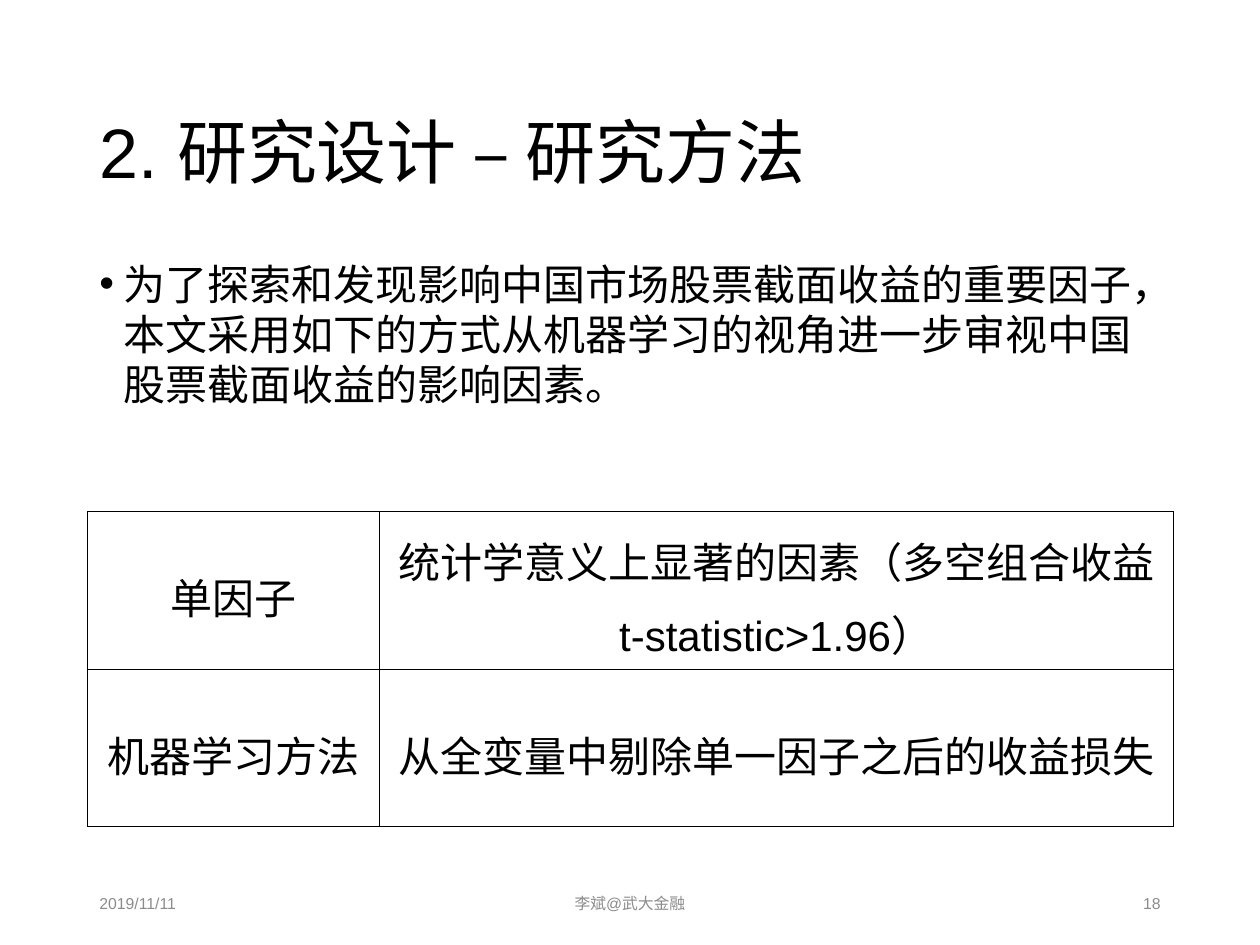
from dataclasses import dataclass

from lxml.etree import SubElement
from pptx import Presentation
from pptx.dml.color import RGBColor
from pptx.enum.text import MSO_ANCHOR, PP_ALIGN
from pptx.oxml.ns import qn
from pptx.util import Inches, Pt


@dataclass(frozen=True)
class Theme:
    font: str = "Arial"
    ink: str = "000000"
    muted: str = "8C8C8C"
    title_size: int = 40
    body_size: int = 24
    footer_size: int = 9
    border_width: float = 0.5


class SlideBuilder:
    def __init__(self, slide, theme):
        self.slide = slide
        self.theme = theme

    def fill_paragraph(self, paragraph, text, size, color,
                       align=PP_ALIGN.LEFT, spacing=1.2):
        paragraph.text = text
        for name, value in {"alignment": align, "line_spacing": spacing}.items():
            setattr(paragraph, name, value)
        font = paragraph.runs[0].font
        for name, value in {"name": self.theme.font, "size": Pt(size)}.items():
            setattr(font, name, value)
        font.color.rgb = RGBColor.from_string(color)

    def text(self, box, text, size, color, anchor=MSO_ANCHOR.MIDDLE, **paragraph_format):
        frame = self.slide.shapes.add_textbox(*map(Inches, box)).text_frame
        for name, value in {"word_wrap": True, "vertical_anchor": anchor}.items():
            setattr(frame, name, value)
        paragraph = frame.paragraphs[0]
        self.fill_paragraph(paragraph, text, size, color, **paragraph_format)
        return paragraph

    def bullet(self, box, text):
        paragraph = self.text(box, text, self.theme.body_size, self.theme.ink,
                              anchor=MSO_ANCHOR.TOP, spacing=1.0)
        properties = paragraph._p.get_or_add_pPr()
        indent = Inches(0.19)
        properties.set("marL", str(indent))
        properties.set("indent", str(-indent))
        SubElement(properties, qn("a:buFont"), typeface=self.theme.font)
        SubElement(properties, qn("a:buChar"), char="•")

    def border(self, cell):
        properties = cell._tc.get_or_add_tcPr()
        for position, side in enumerate(("lnL", "lnR", "lnT", "lnB")):
            line = properties.makeelement(
                qn(f"a:{side}"), {"w": str(Pt(self.theme.border_width))})
            fill = SubElement(line, qn("a:solidFill"))
            SubElement(fill, qn("a:srgbClr"), val=self.theme.ink)
            properties.insert(position, line)

    def table(self, left, top, column_widths, row_height, rows):
        height = row_height * len(rows)
        table = self.slide.shapes.add_table(
            len(rows), len(column_widths), Inches(left), Inches(top),
            Inches(sum(column_widths)), Inches(height)).table
        for flag in ("first_row", "horz_banding"):
            setattr(table, flag, False)
        for column, width in zip(table.columns, column_widths):
            column.width = Inches(width)
        for row, entries in zip(table.rows, rows):
            row.height = Inches(row_height)
            for cell, entry in zip(row.cells, entries):
                cell.fill.background()
                cell.vertical_anchor = MSO_ANCHOR.MIDDLE
                self.fill_paragraph(cell.text_frame.paragraphs[0], entry,
                                    self.theme.body_size, self.theme.ink,
                                    PP_ALIGN.CENTER)
                self.border(cell)


def main():
    presentation = Presentation()
    presentation.slide_width = Inches(10)
    presentation.slide_height = Inches(7.5)
    theme = Theme()
    builder = SlideBuilder(
        presentation.slides.add_slide(presentation.slide_layouts[6]), theme)
    margin, content_width = 0.69, 8.62

    # Title
    builder.text((margin, 0.4, content_width, 1.45), "2. 研究设计 – 研究方法",
                 theme.title_size, theme.ink)

    # Purpose of the study
    builder.bullet((margin, 2, content_width, 4.76),
                   "为了探索和发现影响中国市场股票截面收益的重要因子，"
                   "本文采用如下的方式从机器学习的视角进一步审视中国"
                   "股票截面收益的影响因素。")

    # Footer: date, author, page number
    footers = [
        (margin, 2.25, "2019/11/11", PP_ALIGN.LEFT),
        (3.31, 3.38, "李斌@武大金融", PP_ALIGN.CENTER),
        (7.06, 2.25, "18", PP_ALIGN.RIGHT),
    ]
    for left, width, label, align in footers:
        builder.text((left, 6.95, width, 0.4), label,
                     theme.footer_size, theme.muted, align=align)

    # Methods and their criteria
    builder.table(margin, 4.06, (2.32, 6.3), 1.25, [
        ("单因子", "统计学意义上显著的因素（多空组合收益t-statistic>1.96）"),
        ("机器学习方法", "从全变量中剔除单一因子之后的收益损失"),
    ])

    presentation.save("out.pptx")


if __name__ == "__main__":
    main()
